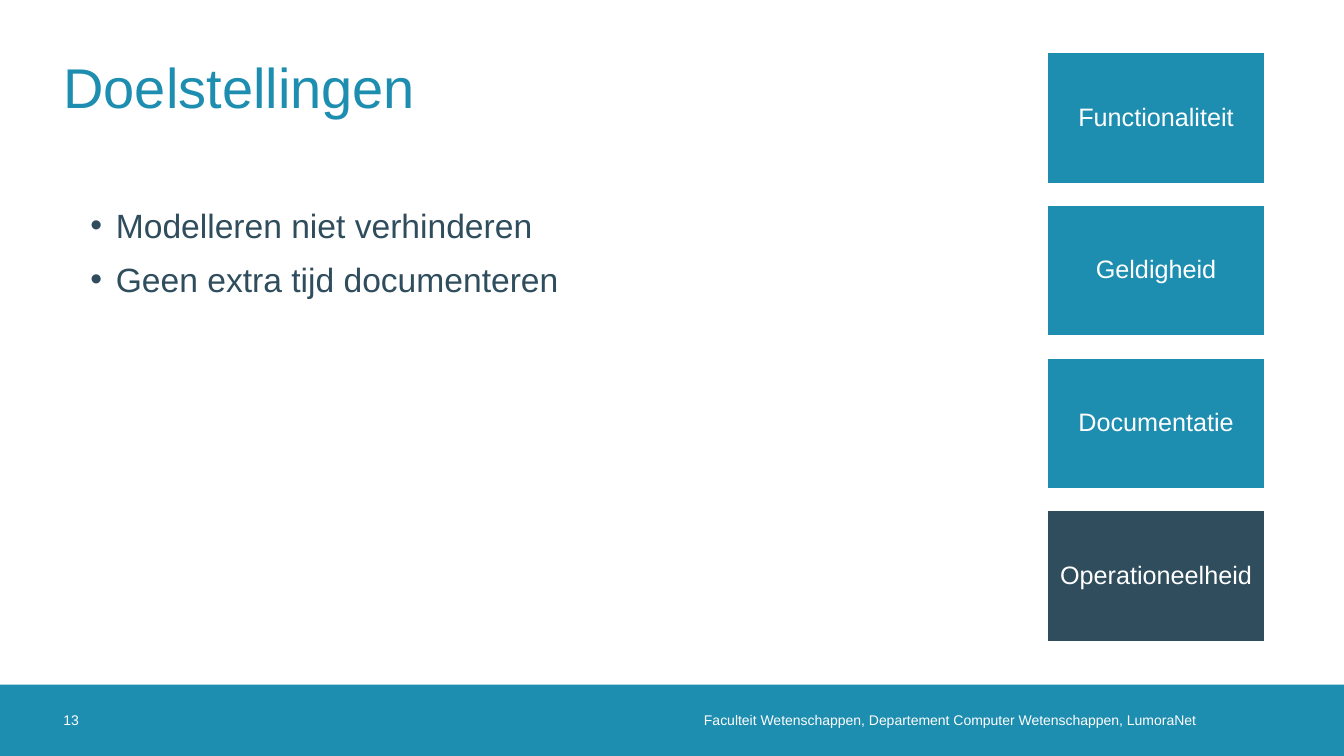
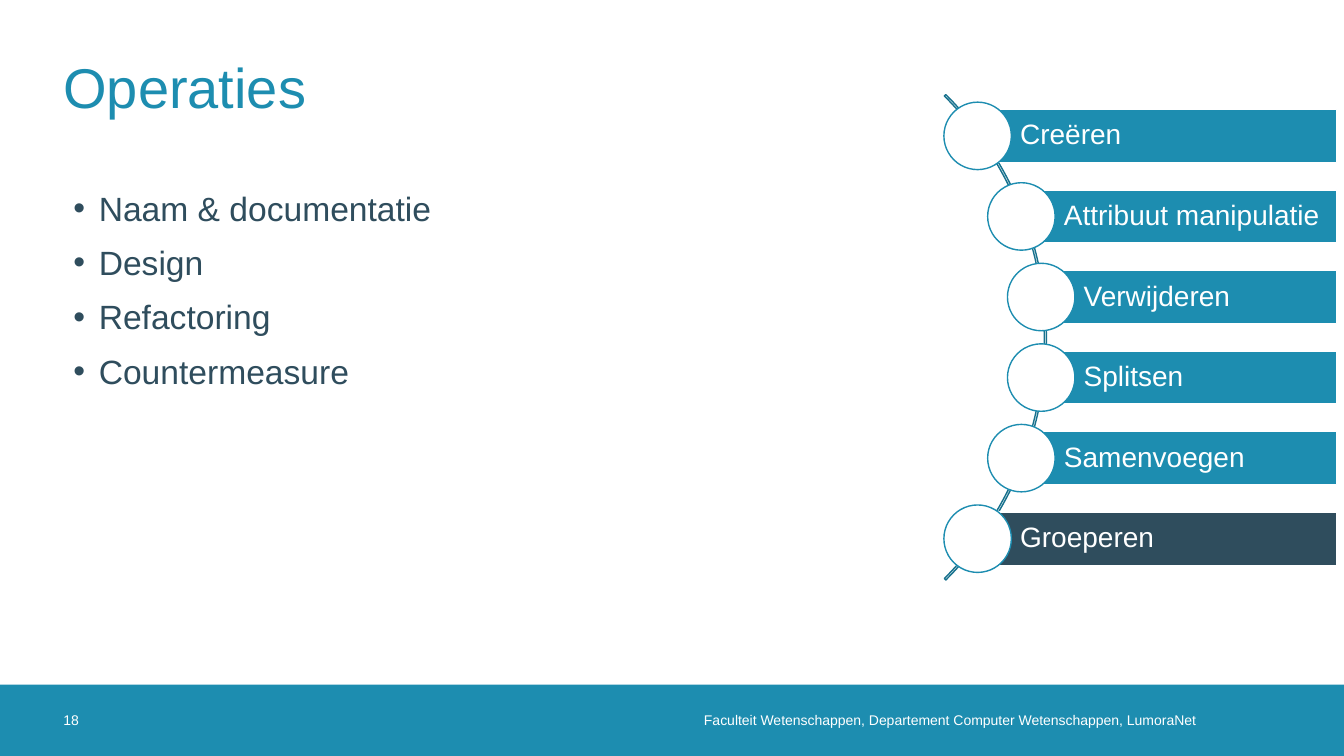
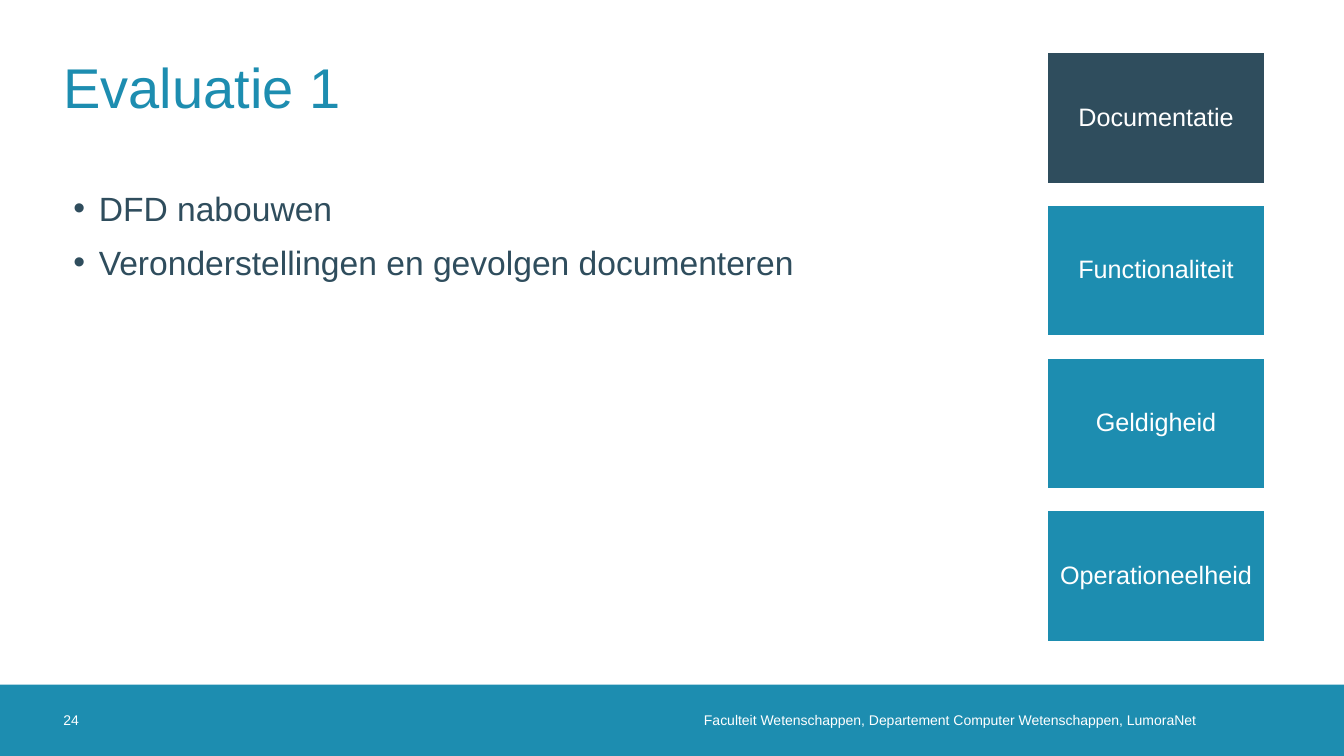
from dataclasses import dataclass
from math import sqrt

from lxml.etree import SubElement
from pptx import Presentation
from pptx.dml.color import RGBColor
from pptx.enum.shapes import MSO_SHAPE
from pptx.enum.text import MSO_ANCHOR, PP_ALIGN
from pptx.oxml.ns import qn
from pptx.util import Cm, Pt


@dataclass(frozen=True)
class Theme:
    font: str = "Arial"
    teal: str = "1D8DB0"
    deep_teal: str = "17718D"
    slate: str = "2F4D5D"
    white: str = "FFFFFF"
    title: int = 40
    body: int = 24
    step: int = 20
    box: int = 18
    small: int = 10


FOOTER = "Faculteit Wetenschappen, Departement Computer Wetenschappen, LumoraNet"


def set_all(obj, values):
    for name, value in values.items():
        setattr(obj, name, value)


class Deck:
    width, height = 33.87, 19.05
    band_top, band_height = 17.25, 1.8

    def __init__(self, theme):
        self.theme = theme
        self.prs = Presentation()
        set_all(self.prs, {"slide_width": Cm(self.width), "slide_height": Cm(self.height)})
        self.s = None

    def add_slide(self, title, number):
        t = self.theme
        self.s = self.prs.slides.add_slide(self.prs.slide_layouts[6])
        self.shape(MSO_SHAPE.RECTANGLE, (0, self.band_top, self.width, self.band_height), t.teal)
        self.text((16.76, self.band_top, 13.87, self.band_height), [FOOTER], t.small, t.white,
                  insets=(0, 0, 0.5, 0), align=PP_ALIGN.RIGHT)
        self.text((1.6, self.band_top, 1.8, self.band_height), [number], t.small, t.white)
        self.text((1.6, 0.58, 30.66, 3.2), [title], t.title, t.teal)

    def shape(self, kind, at, fill=None, line=None):
        sp = self.s.shapes.add_shape(kind, *map(Cm, at))
        sp.shadow.inherit = False
        if fill:
            sp.fill.solid()
            sp.fill.fore_color.rgb = RGBColor.from_string(fill)
        else:
            sp.fill.background()
        if line:
            sp.line.color.rgb = RGBColor.from_string(line)
            sp.line.width = Pt(1)
        else:
            sp.line.fill.background()
        return sp

    def fill_text(self, sp, lines, size, color, insets=(0, 0, 0, 0),
                  anchor=MSO_ANCHOR.MIDDLE, **paragraph):
        tf = sp.text_frame
        sides = ("margin_left", "margin_top", "margin_right", "margin_bottom")
        set_all(tf, {"word_wrap": True, "vertical_anchor": anchor,
                     **dict(zip(sides, map(Cm, insets)))})
        for i, line in enumerate(lines):
            p = tf.add_paragraph() if i else tf.paragraphs[0]
            set_all(p, {"alignment": PP_ALIGN.LEFT, **paragraph})
            r = p.add_run()
            r.text = line
            set_all(r.font, {"name": self.theme.font, "size": Pt(size)})
            r.font.color.rgb = RGBColor.from_string(color)
        return tf

    def text(self, at, lines, size, color, insets=(0, 0, 0, 0),
             anchor=MSO_ANCHOR.MIDDLE, align=PP_ALIGN.LEFT, **paragraph):
        sp = self.s.shapes.add_textbox(*map(Cm, at))
        return self.fill_text(sp, lines, size, color, insets, anchor,
                              alignment=align, **paragraph)

    def bullets(self, lines, left=1.6, top=4.6):
        t = self.theme
        tf = self.text((left, top, 30.66, 12.4), lines, t.body, t.slate,
                       insets=(0.25, 0.13, 0.25, 0.13), anchor=MSO_ANCHOR.TOP,
                       space_before=Pt(10))
        for p in tf.paragraphs:
            pPr = p._p.get_or_add_pPr()
            pPr.set("marL", str(Cm(0.64)))
            pPr.set("indent", str(-Cm(0.64)))
            SubElement(pPr, qn("a:buFont")).set("typeface", t.font)
            SubElement(pPr, qn("a:buChar")).set("char", "•")

    def label_box(self, at, label, active, size, insets, align):
        t = self.theme
        fill = t.slate if label == active else t.teal
        sp = self.shape(MSO_SHAPE.RECTANGLE, at, fill, t.white)
        self.fill_text(sp, [label], size, t.white, insets, alignment=align, line_spacing=0.9)

    def goal_column(self, labels, active):
        for i, label in enumerate(labels):
            self.label_box((26.39, 1.32 + i * 3.85, 5.49, 3.3), label, active,
                           self.theme.box, (0.18,) * 4, PP_ALIGN.CENTER)

    def step_arc(self, labels, active):
        t = self.theme
        center_x, center_y, radius, arc_size = 17.72, 8.5, 8.58, 17.3
        pitch, bar_height, dot, right = 2.03, 1.34, 1.7, 33.68
        arc = self.shape(MSO_SHAPE.BLOCK_ARC,
                         (center_x - arc_size / 2, center_y - arc_size / 2, arc_size, arc_size),
                         line=t.deep_teal)
        for i, value in enumerate((189, 27, 0.003)):
            arc.adjustments[i] = value
        for i, label in enumerate(labels):
            offset = (i - (len(labels) - 1) / 2) * pitch
            x = center_x + sqrt(radius ** 2 - offset ** 2)
            y = center_y + offset
            self.label_box((x, y - bar_height / 2, right - x, bar_height), label, active,
                           t.step, (1.07, 0.15, 0.15, 0.15), PP_ALIGN.LEFT)
            self.shape(MSO_SHAPE.OVAL, (x - dot / 2, y - dot / 2, dot, dot), t.white, t.teal)


def main():
    deck = Deck(Theme())

    deck.add_slide("Doelstellingen", "13")
    deck.goal_column(["Functionaliteit", "Geldigheid", "Documentatie", "Operationeelheid"],
                     active="Operationeelheid")
    deck.bullets(["Modelleren niet verhinderen", "Geen extra tijd documenteren"],
                 left=2.03, top=5.03)

    deck.add_slide("Operaties", "18")
    deck.bullets(["Naam & documentatie", "Design", "Refactoring", "Countermeasure"])
    deck.step_arc(["Creëren", "Attribuut manipulatie", "Verwijderen", "Splitsen",
                   "Samenvoegen", "Groeperen"], active="Groeperen")

    deck.add_slide("Evaluatie 1", "24")
    deck.bullets(["DFD nabouwen", "Veronderstellingen en gevolgen documenteren"])
    deck.goal_column(["Documentatie", "Functionaliteit", "Geldigheid", "Operationeelheid"],
                     active="Documentatie")

    deck.prs.save("out.pptx")


if __name__ == "__main__":
    main()
